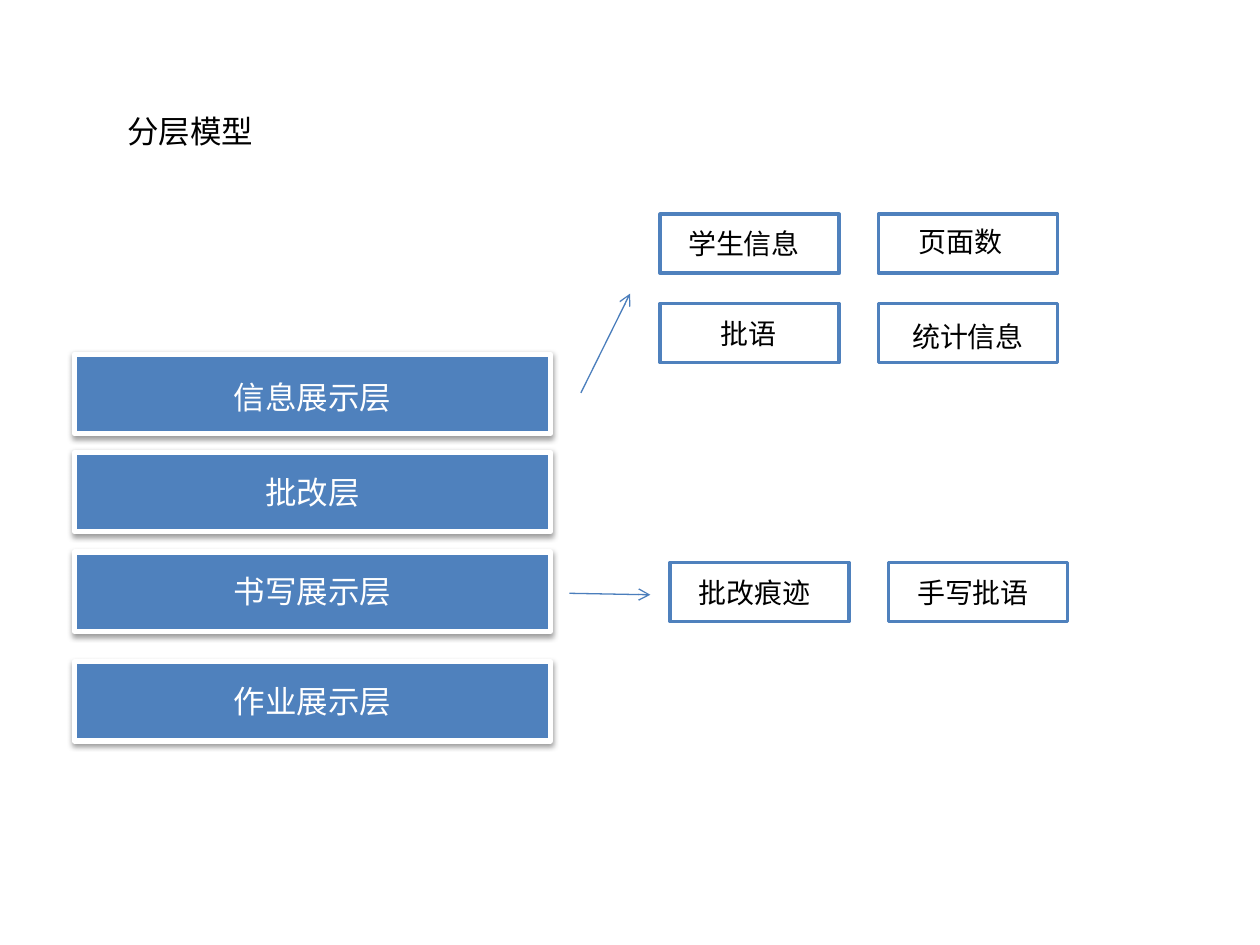
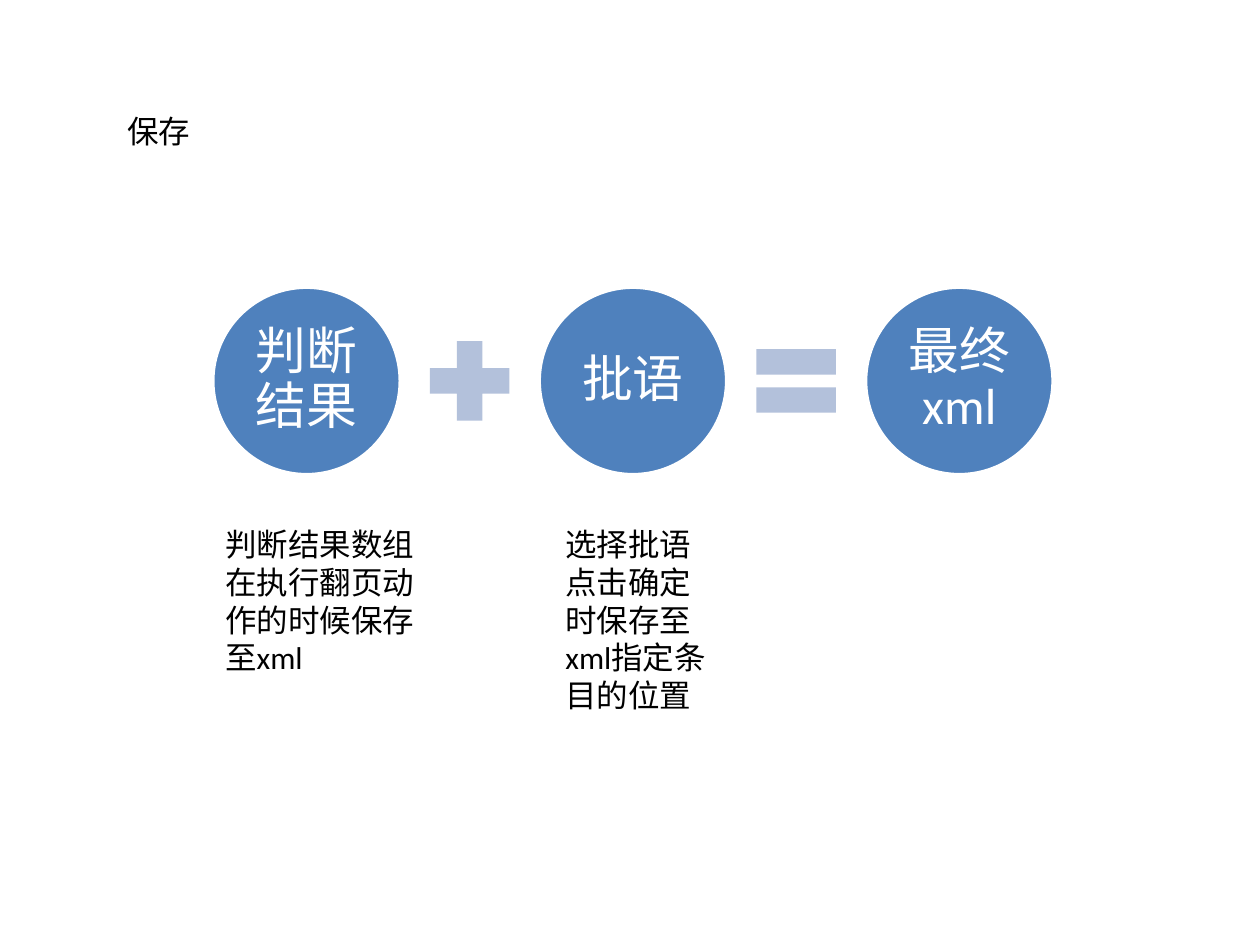
import pptx
import pptx.util
import pptx.oxml
import pptx.oxml.ns
import pptx.dml.color
import pptx.enum.shapes
import pptx.enum.text
from dataclasses import dataclass

Cm, Pt = pptx.util.Cm, pptx.util.Pt
SHAPE = pptx.enum.shapes.MSO_SHAPE
ALIGN = pptx.enum.text.PP_ALIGN
ANCHOR = pptx.enum.text.MSO_ANCHOR


@dataclass(frozen=True)
class Theme:
    font: str = "Calibri"
    blue: str = "4F81BD"
    arrow: str = "4B7EBC"
    pale: str = "B3C1DB"
    white: str = "FFFFFF"
    black: str = "000000"
    text_size: float = 18
    tag_size: float = 16
    circle_size: float = 29


THEME = Theme()

# Content (lengths in centimetres)
TITLES = ["分层模型", "保存"]
TITLE_BOX = (2.31, 2.13, 5.0, 1.02)

# Layers: text, top, drop of the label below the top edge
LAYERS = [
    ("作业展示层", 13.34, 0.28),
    ("批改层", 9.12, 0.3),
    ("信息展示层", 7.14, 0.36),
    ("书写展示层", 11.13, 0.28),
]
LAYER_LEFT, LAYER_WIDTH, LAYER_HEIGHT = 1.5, 9.6, 1.6
LAYER_LABEL_WIDTH = 5.79

# Tag grids: origin, then text, column, row, label offset, label width, alignment
TAG_GRIDS = [
    ((13.31, 4.32), [
        ("学生信息", 0, 0, (-0.2, 0.13), 3.78, ALIGN.CENTER),
        ("页面数", 1, 0, (0.56, 0.08), 2.49, ALIGN.LEFT),
        ("批语", 0, 1, (0.48, 0.13), 2.59, ALIGN.CENTER),
        ("统计信息", 1, 1, (0, 0.2), 3.61, ALIGN.CENTER),
    ]),
    ((13.51, 11.34), [
        ("批改痕迹", 0, 0, (0.33, 0.13), 2.77, ALIGN.LEFT),
        ("手写批语", 1, 0, (0.33, 0.13), 2.77, ALIGN.LEFT),
    ]),
]
TAG_WIDTH, TAG_HEIGHT = 3.61, 1.19
TAG_PITCH = (4.4, 1.8)
ARROWS = [(11.71, 7.92, 12.7, 5.92), (11.48, 11.96, 13.11, 11.99)]

EQUATION = ["判断结果", SHAPE.MATH_PLUS, "批语", SHAPE.MATH_EQUAL, "最终xml"]
EQUATION_LEFT, EQUATION_TOP = 4.29, 5.79
CIRCLE, OPERATOR, EQUATION_GAP = 3.78, 2.18, 0.31

# Notes: text, left, width, height
NOTES = [
    ("选择批语点击确定时保存至xml指定条目的位置", 11.15, 3.61, 4.11),
    ("判断结果数组在执行翻页动作的时候保存至xml", 4.29, 4.32, 3.33),
]
NOTES_TOP = 10.46


# Helpers
def rgb(code):
    return pptx.dml.color.RGBColor.from_string(code)


def write(box, text, size, color, align=ALIGN.LEFT, anchor=ANCHOR.TOP):
    frame = box.text_frame
    frame.word_wrap = True
    frame.vertical_anchor = anchor
    frame.text = text
    para = frame.paragraphs[0]
    para.alignment = align
    para.font.name = THEME.font
    para.font.size = Pt(size)
    para.font.color.rgb = rgb(color)
    return para


def add_label(shapes, place, text, size, color, align=ALIGN.LEFT):
    box = shapes.add_textbox(*map(Cm, place))
    write(box, text, size, color, align)


def add_block(shapes, kind, place, fill, line=None, width=0):
    block = shapes.add_shape(kind, *map(Cm, place))
    block.shadow.inherit = False
    block.fill.solid()
    block.fill.fore_color.rgb = rgb(fill)
    if line:
        block.line.color.rgb = rgb(line)
        block.line.width = Pt(width)
    else:
        block.line.fill.background()
    return block


def add_child(parent, xml):
    namespace = pptx.oxml.ns.nsdecls("a")
    parent.append(pptx.oxml.parse_xml(xml.replace("NS", namespace, 1)))


def add_drop_shadow(block):
    effects = block._element.spPr.find(pptx.oxml.ns.qn("a:effectLst"))
    add_child(effects, '<a:outerShdw NS blurRad="40000" dist="20000" dir="5400000" '
                       'rotWithShape="0"><a:srgbClr val="000000">'
                       '<a:alpha val="38000"/></a:srgbClr></a:outerShdw>')


def add_arrow(page, ends):
    arrow = page.shapes.add_connector(
        pptx.enum.shapes.MSO_CONNECTOR.STRAIGHT, *map(Cm, ends))
    arrow.line.color.rgb = rgb(THEME.arrow)
    arrow.line.width = Pt(0.75)
    add_child(arrow.line._get_or_add_ln(), '<a:tailEnd NS type="arrow"/>')
    add_child(arrow._element.spPr, "<a:effectLst NS/>")


def add_page(deck, title):
    page = deck.slides.add_slide(deck.slide_layouts[5])
    box = page.shapes.title
    box.left, box.top, box.width, box.height = map(Cm, TITLE_BOX)
    write(box, title, THEME.text_size, THEME.black)
    box.text_frame.auto_size = pptx.enum.text.MSO_AUTO_SIZE.NONE
    return page


# Layer model
def draw_layers(page):
    label_left = LAYER_LEFT + (LAYER_WIDTH - LAYER_LABEL_WIDTH) / 2
    for text, top, drop in LAYERS:
        shapes = page.shapes.add_group_shape().shapes
        block = add_block(shapes, SHAPE.RECTANGLE,
                          (LAYER_LEFT, top, LAYER_WIDTH, LAYER_HEIGHT),
                          THEME.blue, THEME.white, 3)
        add_drop_shadow(block)
        add_label(shapes, (label_left, top + drop, LAYER_LABEL_WIDTH, 1.02),
                  text, THEME.text_size, THEME.white, ALIGN.CENTER)


def draw_tags(page):
    for (grid_left, grid_top), tags in TAG_GRIDS:
        for text, column, row, (shift, drop), width, align in tags:
            left = grid_left + column * TAG_PITCH[0]
            top = grid_top + row * TAG_PITCH[1]
            shapes = page.shapes.add_group_shape().shapes
            add_block(shapes, SHAPE.RECTANGLE, (left, top, TAG_WIDTH, TAG_HEIGHT),
                      THEME.white, THEME.blue, 2)
            add_label(shapes, (left + shift, top + drop, width, 0.94),
                      text, THEME.tag_size, THEME.black, align)


# Saving equation
def draw_equation(page):
    shapes = page.shapes.add_group_shape().shapes
    left = EQUATION_LEFT
    for part in EQUATION:
        if isinstance(part, str):
            size = CIRCLE
            circle = add_block(shapes, SHAPE.OVAL, (left, EQUATION_TOP, size, size),
                               THEME.blue, THEME.white, 2)
            para = write(circle, part, THEME.circle_size, THEME.white,
                         ALIGN.CENTER, ANCHOR.MIDDLE)
            para.line_spacing = 0.9
            frame = circle.text_frame
            frame.margin_left = frame.margin_right = Cm(0.1)
            frame.margin_top = frame.margin_bottom = Cm(0.1)
        else:
            size = OPERATOR
            top = EQUATION_TOP + (CIRCLE - size) / 2
            add_block(shapes, part, (left, top, size, size), THEME.pale)
        left += size + EQUATION_GAP


# Build the deck
deck = pptx.Presentation()
deck.slide_width, deck.slide_height = Cm(25.4), Cm(19.05)
model_page, saving_page = [add_page(deck, title) for title in TITLES]

draw_layers(model_page)
draw_tags(model_page)
for ends in ARROWS:
    add_arrow(model_page, ends)

draw_equation(saving_page)
for text, left, width, height in NOTES:
    add_label(saving_page.shapes, (left, NOTES_TOP, width, height),
              text, THEME.text_size, THEME.black)

deck.save("out.pptx")
